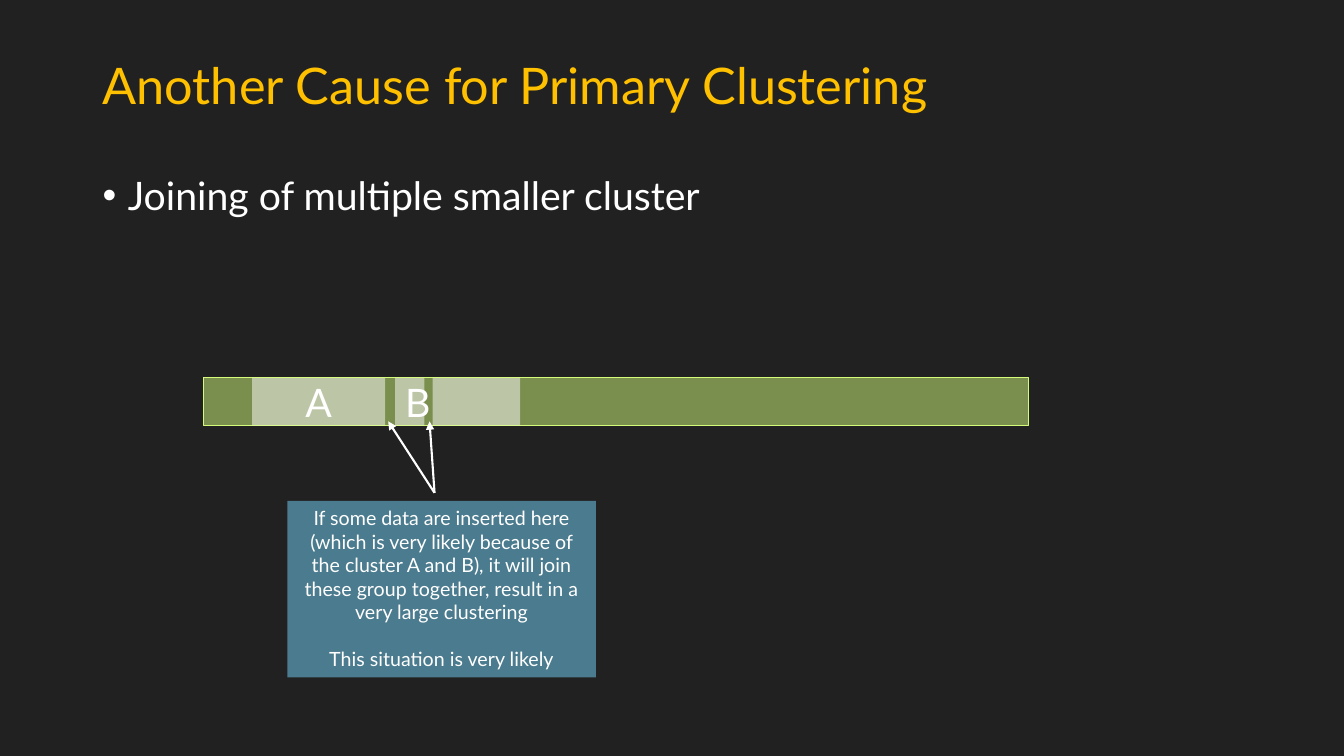
from dataclasses import dataclass

from lxml import etree
from pptx import Presentation
from pptx.dml.color import RGBColor
from pptx.enum.shapes import MSO_CONNECTOR, MSO_SHAPE
from pptx.enum.text import MSO_ANCHOR, PP_ALIGN
from pptx.oxml.ns import qn
from pptx.util import Inches, Pt

RECT = MSO_SHAPE.RECTANGLE
STRAIGHT = MSO_CONNECTOR.STRAIGHT
TOP, MIDDLE = MSO_ANCHOR.TOP, MSO_ANCHOR.MIDDLE
LEFT, CENTER = PP_ALIGN.LEFT, PP_ALIGN.CENTER


@dataclass(frozen=True)
class Theme:
    font: str = "Lato"
    background: str = "212121"
    title: str = "FFC000"
    white: str = "FFFFFF"
    table: str = "D4FB79"
    note: str = "76D6FB"
    title_size: int = 36
    body_size: int = 28
    note_size: int = 14


@dataclass(frozen=True)
class Box:
    left: float
    top: float
    width: float
    height: float

    def lengths(self) -> list:
        return [Inches(v) for v in (self.left, self.top, self.width, self.height)]


@dataclass(frozen=True)
class Cluster:
    left: float
    width: float
    label: str = ""


THEME = Theme()
BAR = Box(2.02, 3.75, 8.18, 0.47)
CLUSTERS = [Cluster(2.5, 1.32, "A"), Cluster(3.92, 0.29, "B"), Cluster(4.29, 0.87)]
NOTE = [
    "If some data are inserted here (which is very likely because of the cluster A and B), "
    "it will join these group together, result in a very large clustering",
    "This situation is very likely",
]
ARROW_START = (4.31, 4.89)
GAP_POINTS = [(3.85, 4.18), (4.26, 4.18)]


def rgb(color: str) -> RGBColor:
    return RGBColor.from_string(color)


def add_bullet(p, indent: float) -> None:
    pPr = p._p.get_or_add_pPr()
    pPr.set("marL", str(Inches(indent)))
    pPr.set("indent", str(-Inches(indent)))
    etree.SubElement(pPr, qn("a:buFont")).set("typeface", "Arial")
    etree.SubElement(pPr, qn("a:buChar")).set("char", "•")


def write(s, *lines: str, size: int, color: str = THEME.white, align=LEFT, anchor=TOP,
          spacing: float = 1.0, gap: float = 0, bullet: bool = False) -> None:
    """Fill a shape with one paragraph per line; gap is the points between them."""
    tf = s.text_frame
    tf.word_wrap = True
    tf.vertical_anchor = anchor
    for i, line in enumerate(lines):
        p = tf.add_paragraph() if i else tf.paragraphs[0]
        p.alignment = align
        p.line_spacing = spacing
        if i:
            p.space_before = Pt(gap)
        if bullet:
            add_bullet(p, 0.25)
        r = p.add_run()
        r.text = line
        r.font.name = THEME.font
        r.font.size = Pt(size)
        r.font.color.rgb = rgb(color)


def add_text_box(slide, box: Box, text: str, **fmt) -> None:
    write(slide.shapes.add_textbox(*box.lengths()), text, **fmt)


def add_half_clear_rect(slide, box: Box, fill: str, line: str = ""):
    s = slide.shapes.add_shape(RECT, *box.lengths())
    s.shadow.inherit = False
    s.fill.solid()
    s.fill.fore_color.rgb = rgb(fill)
    color = s.fill._xPr.find(qn("a:solidFill"))[0]
    etree.SubElement(color, qn("a:alpha")).set("val", "50000")
    if line:
        s.line.color.rgb = rgb(line)
        s.line.width = Pt(0.75)
    else:
        s.line.fill.background()
    return s


def add_arrow(slide, start: tuple[float, float], end: tuple[float, float]) -> None:
    c = slide.shapes.add_connector(STRAIGHT, *(Inches(v) for v in start + end))
    c.line.color.rgb = rgb(THEME.white)
    c.line.width = Pt(1.5)
    etree.SubElement(c.line._get_or_add_ln(), qn("a:tailEnd")).set("type", "triangle")
    etree.SubElement(c._element.spPr, qn("a:effectLst"))


def main() -> None:
    prs = Presentation()
    prs.slide_width, prs.slide_height = Inches(13.33), Inches(7.5)
    slide = prs.slides.add_slide(prs.slide_layouts[6])
    slide.background.fill.solid()
    slide.background.fill.fore_color.rgb = rgb(THEME.background)

    add_text_box(slide, Box(0.92, 0.4, 11.5, 0.95), "Another Cause for Primary Clustering",
                 size=THEME.title_size, color=THEME.title, anchor=MIDDLE, spacing=0.9)
    add_text_box(slide, Box(0.92, 1.49, 11.5, 5.49), "Joining of multiple smaller cluster",
                 size=THEME.body_size, spacing=1.35, bullet=True)

    add_half_clear_rect(slide, BAR, THEME.table, line=THEME.table)
    for cluster in CLUSTERS:
        box = Box(cluster.left, BAR.top, cluster.width, BAR.height)
        s = add_half_clear_rect(slide, box, THEME.white)
        if cluster.label:
            write(s, cluster.label, size=THEME.body_size, align=CENTER, anchor=MIDDLE)

    note = add_half_clear_rect(slide, Box(2.85, 4.97, 3.06, 1.75), THEME.note)
    write(note, *NOTE, size=THEME.note_size, align=CENTER, gap=1.2 * THEME.note_size)
    for point in GAP_POINTS:
        add_arrow(slide, ARROW_START, point)

    prs.save("out.pptx")


if __name__ == "__main__":
    main()
